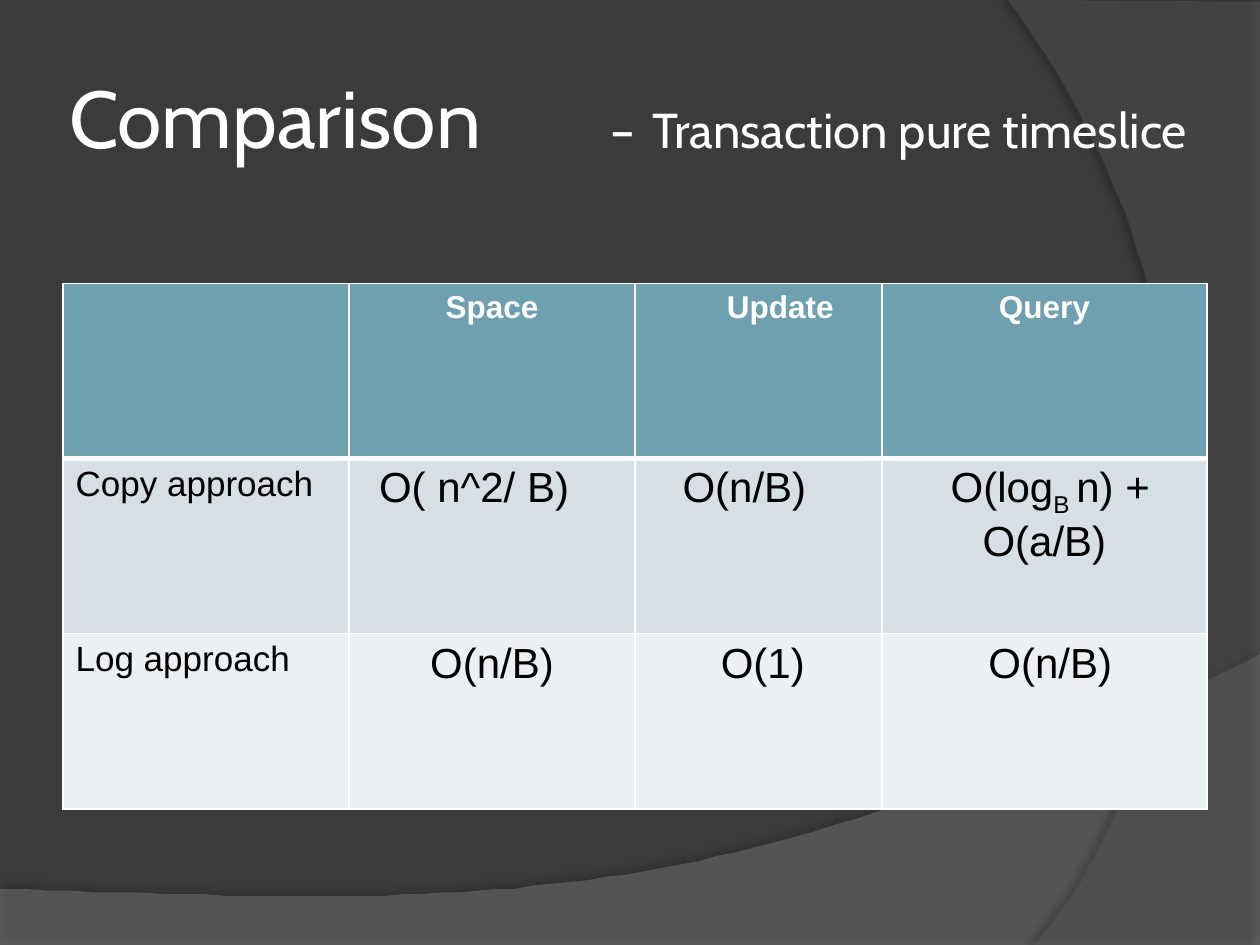
from pptx import Presentation
from pptx.dml.color import RGBColor
from pptx.enum.text import MSO_ANCHOR, PP_ALIGN
from pptx.oxml import parse_xml
from pptx.oxml.ns import nsdecls, qn
from pptx.util import Pt

INK = {"back": "3B3B3B", "wave": "7F7F7F", "arc": "5E5E5E", "white": "FFFFFF",
       "black": "000000", "head": "6EA0B0", "odd": "D5DFE4", "even": "EBF0F2"}

# Title: text, size
TITLE = [("Comparison\t", 46), ("–", 28), (" ", 46), ("Transaction pure timeslice", 28)]
TAB = 309

# Table cells: runs (text, size, baseline), centred, extra left indent
ROWS = [
    ("head", [([], True, 0), ([("Space", 18, 0)], True, 0),
              ([("Update", 18, 0)], True, 25), ([("Query", 18, 0)], True, 0)]),
    ("odd", [([("Copy approach", 20, 0)], False, 0),
             ([("O( n^2/ B)", 24, 0)], False, 10),
             ([("O(n/B)", 24, 0)], False, 20),
             ([(" O(log", 24, 0), ("B ", 24, -25), ("n) + O(a/B)", 24, 0)], True, 0)]),
    ("even", [([("Log approach", 20, 0)], False, 0), ([("O(n/B)", 24, 0)], True, 0),
              ([(" ", 18, 0), ("O(1)", 24, 0)], True, 0),
              ([(" O(n/B)", 24, 0)], True, 0)]),
]
COLS = [163.44, 163.44, 141.12, 185.76]
HIGH = 100.08

# Swooshes: colour, opacity, corners, curve, shadow (opacity, blur, offset, angle)
SWOOSH = [
    ("wave", 45, [(0, 507.6), (0, 540), (720, 540), (720, 374.4)],
     [(720, 374.4), (402.48, 524.88), (281.52, 517.68), (0, 507.6)], (35, 4, 3.5, 270)),
    ("arc", 40, [(720, 1.44), (720, 540), (591.12, 540)],
     [(591.12, 540), (673.2, 445.68), (732.96, 216), (576, 0)], (45, 4, 4, 180)),
]


def paint(fill, name):
    fill.solid()
    fill.fore_color.rgb = RGBColor.from_string(INK[name])


def bezier(a, b, c, d, steps=60):
    for i in range(1, steps + 1):
        t = i / steps
        u = 1 - t
        yield tuple(u**3 * p + 3 * u * u * t * q + 3 * u * t * t * r + t**3 * s
                    for p, q, r, s in zip(a, b, c, d))


def swoosh(slide, name, alpha, ends, curve, shade):
    pts = ends + list(bezier(*curve))
    pen = slide.shapes.build_freeform(*pts[0], scale=Pt(1))
    pen.add_line_segments(pts[1:], close=True)
    shape = pen.convert_to_shape()
    paint(shape.fill, name)
    shape.line.fill.background()
    shape.shadow.inherit = False
    props = shape._element.spPr
    tint = props.find(qn("a:solidFill"))[0]
    tint.append(parse_xml(f'<a:alpha {nsdecls("a")} val="{alpha * 1000}"/>'))
    dark, blur, gap, turn = shade
    props.find(qn("a:effectLst")).append(parse_xml(
        f'<a:outerShdw {nsdecls("a")} blurRad="{Pt(blur)}" dist="{Pt(gap)}" '
        f'dir="{turn * 60000}" algn="ctr" rotWithShape="0">'
        f'<a:srgbClr val="{INK["black"]}"><a:alpha val="{dark * 1000}"/></a:srgbClr>'
        '</a:outerShdw>'))


def write(para, text, size, face, name, bold=False, base=0):
    run = para.add_run()
    run.text = text
    font = run.font
    font.size, font.name, font.bold = Pt(size), face, bold
    font.color.rgb = RGBColor.from_string(INK[name])
    if base:
        run._r.get_or_add_rPr().set("baseline", str(base * 1000))


def edge(cell, row):
    wide = {"L": 1, "R": 1, "T": 3 if row == 1 else 1, "B": 3 if row == 0 else 1}
    props = cell._tc.get_or_add_tcPr()
    for i, (side, width) in enumerate(wide.items()):
        props.insert(i, parse_xml(
            f'<a:ln{side} {nsdecls("a")} w="{Pt(width)}"><a:solidFill>'
            f'<a:srgbClr val="{INK["white"]}"/></a:solidFill></a:ln{side}>'))


deck = Presentation()
deck.slide_width, deck.slide_height = Pt(720), Pt(540)
slide = deck.slides.add_slide(deck.slide_layouts[6])

# Background
paint(slide.background.fill, "back")
for part in SWOOSH:
    swoosh(slide, *part)

# Title
frame = slide.shapes.add_textbox(Pt(36), Pt(21.6), Pt(666), Pt(90)).text_frame
frame.word_wrap = True
frame.vertical_anchor = MSO_ANCHOR.MIDDLE
frame.margin_left = frame.margin_right = Pt(3.6)
frame.margin_top = frame.margin_bottom = Pt(3.6)
para = frame.paragraphs[0]
para._p.get_or_add_pPr().append(parse_xml(
    f'<a:tabLst {nsdecls("a")}><a:tab pos="{Pt(TAB)}" algn="l"/></a:tabLst>'))
for text, size in TITLE:
    write(para, text, size, "Cabin", "white")

# Table
grid = slide.shapes.add_table(len(ROWS), len(COLS), Pt(36), Pt(162),
                              Pt(sum(COLS)), Pt(HIGH * len(ROWS))).table
for col, width in zip(grid.columns, COLS):
    col.width = Pt(width)
for r, (tone, cells) in enumerate(ROWS):
    grid.rows[r].height = Pt(HIGH)
    top = r == 0
    for c, (runs, mid, dent) in enumerate(cells):
        cell = grid.cell(r, c)
        paint(cell.fill, tone)
        edge(cell, r)
        cell.margin_left = Pt(7.2 + dent)
        para = cell.text_frame.paragraphs[0]
        para.alignment = PP_ALIGN.CENTER if mid else PP_ALIGN.LEFT
        for text, size, base in runs:
            write(para, text, size, "Arial", "white" if top else "black", top, base)

deck.save("out.pptx")
